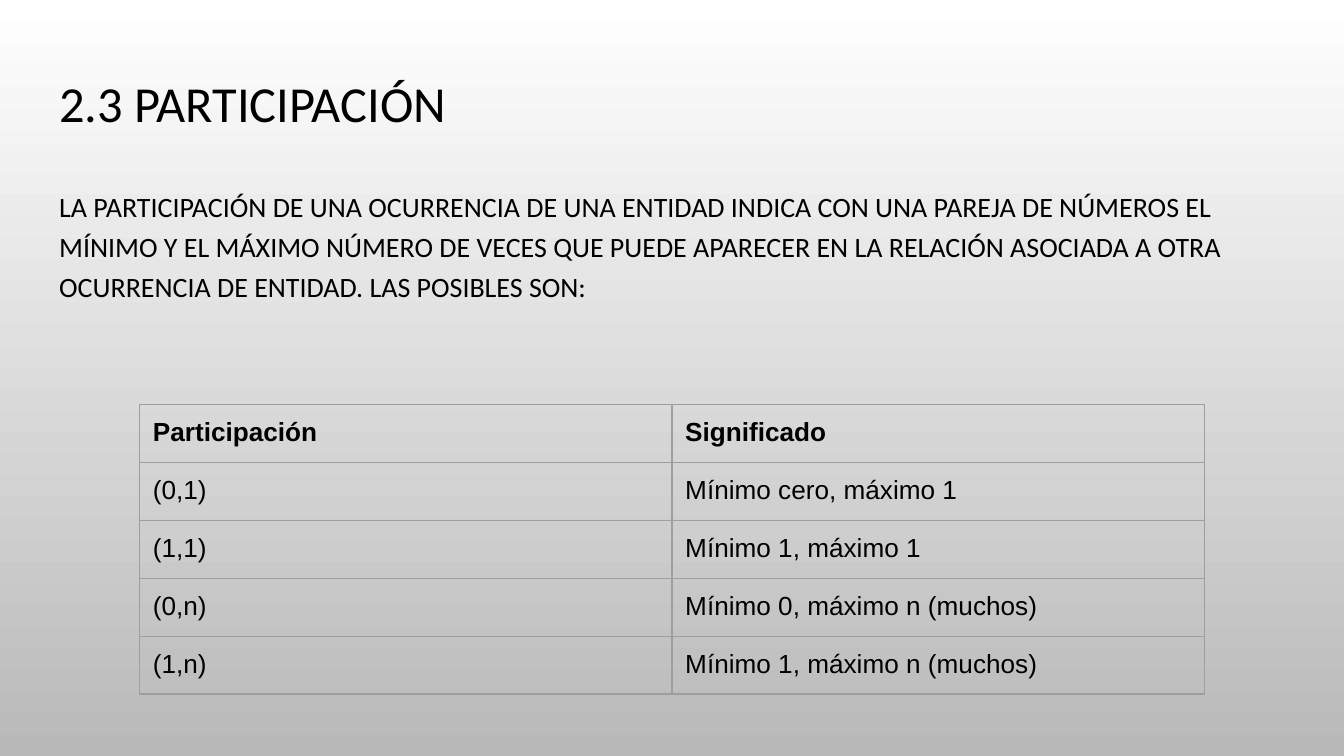
"""Build the slide on participation in an entity relationship."""
import dataclasses
import typing

import pptx
import pptx.dml.color
import pptx.enum.text
import pptx.oxml
import pptx.oxml.ns
import pptx.util

Cm = pptx.util.Cm
Pt = pptx.util.Pt
BLACK = pptx.dml.color.RGBColor(0x00, 0x00, 0x00)
WHITE = pptx.dml.color.RGBColor(0xFF, 0xFF, 0xFF)
SILVER = pptx.dml.color.RGBColor(0xB9, 0xB9, 0xB9)
GRAY = pptx.dml.color.RGBColor(0x9E, 0x9E, 0x9E)
INSET = Cm(0.25)
ROW = Cm(1.06)
COLUMN = Cm(10.06)


@dataclasses.dataclass(frozen=True)
class Block:
    text: str
    top: float
    height: float
    size: float
    lines: float
    after: float = 0


@dataclasses.dataclass(frozen=True)
class Entry:
    pair: str
    meaning: str
    bold: bool = False


BLOCKS = [
    Block("2.3 PARTICIPACIÓN", 1.24, 1.6, 27, 0.9),
    Block(
        "LA PARTICIPACIÓN DE UNA OCURRENCIA DE UNA ENTIDAD INDICA CON UNA PAREJA "
        "DE NÚMEROS EL MÍNIMO Y EL MÁXIMO NÚMERO DE VECES QUE PUEDE APARECER EN LA "
        "RELACIÓN ASOCIADA A OTRA OCURRENCIA DE ENTIDAD. LAS POSIBLES SON:",
        3.2, 9.5, 15, 1.2, 16,
    ),
]
ENTRIES = [
    Entry("Participación", "Significado", True),
    Entry("(0,1)", "Mínimo cero, máximo 1"),
    Entry("(1,1)", "Mínimo 1, máximo 1"),
    Entry("(0,n)", "Mínimo 0, máximo n (muchos)"),
    Entry("(1,n)", "Mínimo 1, máximo n (muchos)"),
]
MARGINS = {f"margin_{side}": INSET for side in ("left", "top", "right", "bottom")}


def apply(target: typing.Any, values: dict[str, typing.Any]) -> None:
    for name, value in values.items():
        setattr(target, name, value)


def write(frame: typing.Any, text: str, face: str, size: float, bold: bool = False) -> typing.Any:
    line = frame.paragraphs[0]
    run = line.add_run()
    run.text = text
    apply(run.font, {"name": face, "size": Pt(size), "bold": bold})
    run.font.color.rgb = BLACK
    return line


def paint(slide: typing.Any) -> None:
    fill = slide.background.fill
    fill.gradient()
    fill.gradient_angle = 270
    for stop, place, color in zip(fill.gradient_stops, (0, 1), (WHITE, SILVER)):
        stop.position = place
        stop.color.rgb = color


def add_block(slide: typing.Any, block: Block) -> None:
    box = slide.shapes.add_textbox(Cm(0.87), Cm(block.top), Cm(23.67), Cm(block.height))
    frame = box.text_frame
    apply(frame, MARGINS | {
        "word_wrap": True,
        "vertical_anchor": pptx.enum.text.MSO_ANCHOR.TOP,
    })
    line = write(frame, block.text, "Calibri", block.size)
    apply(line, {"line_spacing": block.lines, "space_after": Pt(block.after)})


def outline(cell: typing.Any) -> None:
    props = cell._tc.get_or_add_tcPr()
    for place, side in enumerate("LRTB"):
        props.insert(place, pptx.oxml.parse_xml(
            f'<a:ln{side} {pptx.oxml.ns.nsdecls("a")} w="{Pt(0.75)}">'
            f'<a:solidFill><a:srgbClr val="{GRAY}"/></a:solidFill></a:ln{side}>'
        ))


def add_grid(slide: typing.Any, entries: list[Entry]) -> None:
    grid = slide.shapes.add_table(
        len(entries), 2, Cm(2.64), Cm(7.65), 2 * COLUMN, len(entries) * ROW
    ).table
    apply(grid, {"first_row": False, "horz_banding": False})
    for column in grid.columns:
        column.width = COLUMN
    for row, entry in zip(grid.rows, entries):
        row.height = ROW
        for cell, text in zip(row.cells, (entry.pair, entry.meaning)):
            apply(cell, MARGINS)
            cell.fill.background()
            outline(cell)
            write(cell.text_frame, text, "Arial", 14, entry.bold)


def main() -> None:
    deck = pptx.Presentation()
    apply(deck, {"slide_width": Cm(25.4), "slide_height": Cm(14.29)})
    slide = deck.slides.add_slide(deck.slide_layouts[6])
    paint(slide)
    for block in BLOCKS:
        add_block(slide, block)
    add_grid(slide, ENTRIES)
    deck.save("out.pptx")


if __name__ == "__main__":
    main()
